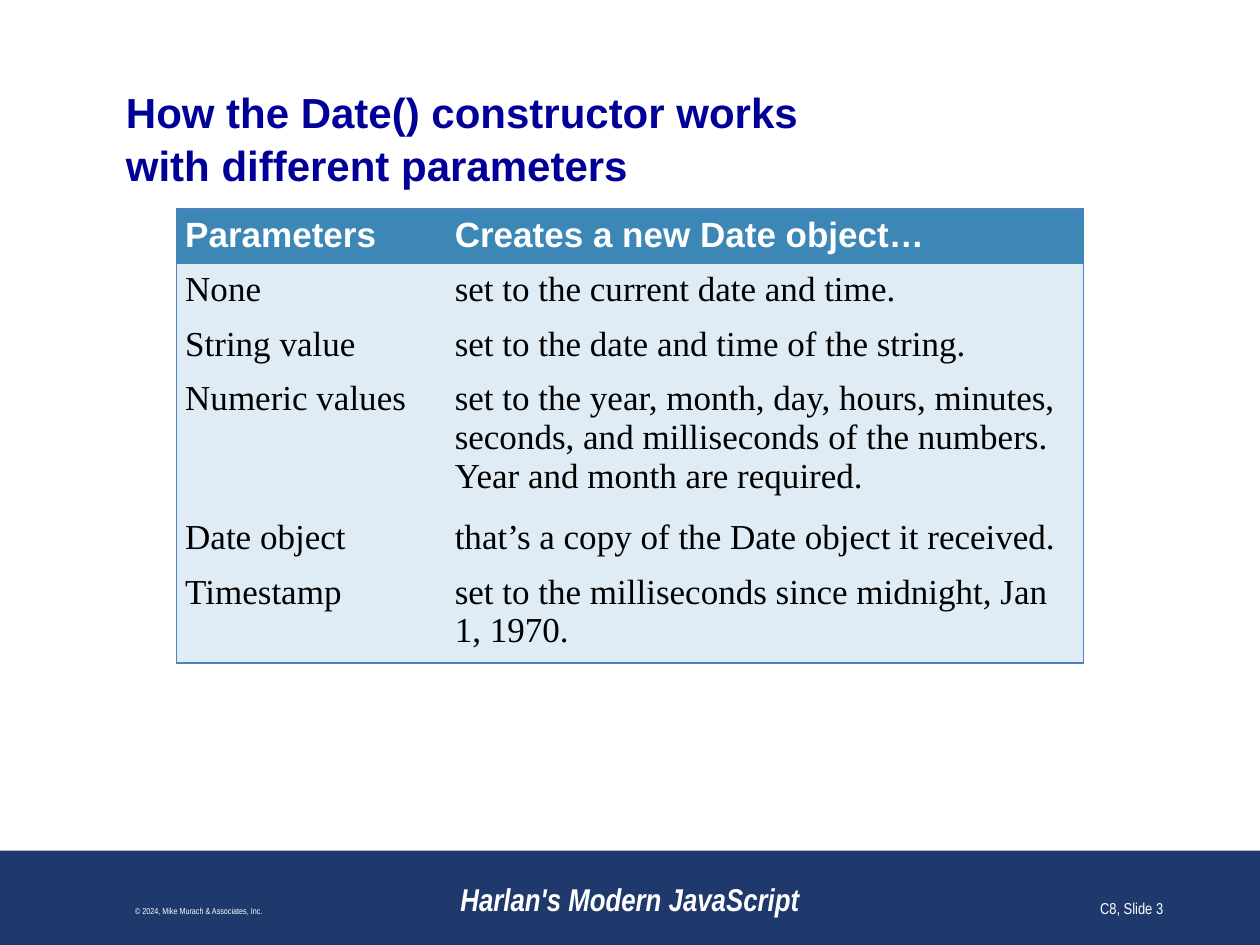
from dataclasses import dataclass

from lxml import etree
from pptx import Presentation
from pptx.dml.color import RGBColor
from pptx.enum.shapes import MSO_SHAPE
from pptx.enum.text import MSO_ANCHOR, PP_ALIGN
from pptx.oxml.ns import qn
from pptx.util import Inches, Pt

RECTANGLE = MSO_SHAPE.RECTANGLE
MIDDLE, BOTTOM = MSO_ANCHOR.MIDDLE, MSO_ANCHOR.BOTTOM
LEFT, CENTER, RIGHT = PP_ALIGN.LEFT, PP_ALIGN.CENTER, PP_ALIGN.RIGHT
PLAIN_TABLE_STYLE = "{2D5ABB26-0587-4C30-8999-92F81FD0307C}"


@dataclass(frozen=True)
class Theme:
    navy: str = "20396D"
    title_blue: str = "000099"
    header_fill: str = "3D87B7"
    body_fill: str = "DFECF5"
    border: str = "4F81BD"
    white: str = "FFFFFF"
    black: str = "000000"
    heading_font: str = "Arial"
    body_font: str = "Times New Roman"
    footer_font: str = "Arial Narrow"
    title_size: int = 24
    table_size: int = 20
    book_size: int = 18
    page_size: int = 9
    copyright_size: int = 5


THEME = Theme()

TITLE_LINES = ["How the Date() constructor works", "with different parameters"]
COLUMN_WIDTHS = [2.14, 5.06]
# Row height in inches, then the text of each cell
ROWS = [
    (0.42, "Parameters", "Creates a new Date object…"),
    (0.41, "None", "set to the current date and time."),
    (0.41, "String value", "set to the date and time of the string."),
    (1.02, "Numeric values",
     "set to the year, month, day, hours, minutes, seconds, and milliseconds "
     "of the numbers. Year and month are required."),
    (0.41, "Date object", "that’s a copy of the Date object it received."),
    (0.71, "Timestamp", "set to the milliseconds since midnight, Jan 1, 1970."),
]


def format_font(font, color, **values):
    for name, value in values.items():
        setattr(font, name, value)
    font.color.rgb = RGBColor.from_string(color)


def add_text(slide, box, text, anchor, alignment, margins, color, **font_values):
    text_box = slide.shapes.add_textbox(*map(Inches, box))
    frame = text_box.text_frame
    frame.word_wrap = True
    frame.vertical_anchor = anchor
    for side, margin in zip(("left", "top", "right", "bottom"), margins):
        setattr(frame, f"margin_{side}", Inches(margin))
    paragraph = frame.paragraphs[0]
    paragraph.text = text
    paragraph.alignment = alignment
    for run in paragraph.runs:
        format_font(run.font, color, **font_values)
    return paragraph


def add_title(slide, box):
    paragraph = add_text(
        slide, box, "\v".join(TITLE_LINES), MIDDLE, LEFT, (0, 0, 0, 0),
        THEME.title_blue, name=THEME.heading_font,
        size=Pt(THEME.title_size), bold=True)
    paragraph.line_spacing = 1.06


def add_border(cell, side):
    properties = cell._tc.get_or_add_tcPr()
    line = etree.SubElement(properties, qn(f"a:ln{side}"), w=str(Pt(1)))
    fill = etree.SubElement(line, qn("a:solidFill"))
    etree.SubElement(fill, qn("a:srgbClr"), val=THEME.border)


def add_parameter_table(slide, box):
    frame = slide.shapes.add_table(
        len(ROWS), len(COLUMN_WIDTHS), *map(Inches, box))
    for style in frame.element.iter(qn("a:tableStyleId")):
        style.text = PLAIN_TABLE_STYLE
    table = frame.table
    table.horz_banding = False
    for column, width in zip(table.columns, COLUMN_WIDTHS):
        column.width = Inches(width)

    last_row, last_column = len(ROWS) - 1, len(COLUMN_WIDTHS) - 1
    for row_index, (height, *texts) in enumerate(ROWS):
        table.rows[row_index].height = Inches(height)
        header = row_index == 0
        for column_index, text in enumerate(texts):
            cell = table.cell(row_index, column_index)
            cell.margin_left = cell.margin_right = Inches(0.07)
            cell.margin_top = cell.margin_bottom = Inches(0.05)

            # Only the outer edges of the table are ruled
            edges = {"L": column_index == 0, "R": column_index == last_column,
                     "T": header, "B": row_index == last_row}
            for side, is_outer in edges.items():
                if is_outer:
                    add_border(cell, side)

            cell.fill.solid()
            cell.fill.fore_color.rgb = RGBColor.from_string(
                THEME.header_fill if header else THEME.body_fill)
            cell.text = text
            format_font(
                cell.text_frame.paragraphs[0].runs[0].font,
                THEME.white if header else THEME.black,
                name=THEME.heading_font if header else THEME.body_font,
                size=Pt(THEME.table_size), bold=header)


def add_footer(slide, box):
    left, top, width, height = box
    band = slide.shapes.add_shape(RECTANGLE, *map(Inches, box))
    band.shadow.inherit = False
    band.fill.solid()
    band.fill.fore_color.rgb = RGBColor.from_string(THEME.navy)
    band.line.fill.background()

    # Offset from the band, width, text, alignment, size, bold italic
    labels = [
        (0.08, 0.07, 3, "© 2024, Mike Murach & Associates, Inc.", CENTER,
         THEME.copyright_size, False),
        (3, 0.08, 4, "Harlan's Modern JavaScript", CENTER,
         THEME.book_size, True),
        (7.25, 0.08, 2.08, "C8, Slide 3", RIGHT, THEME.page_size, False),
    ]
    for x, y, label_width, text, alignment, size, strong in labels:
        add_text(slide, (left + x, top + y, label_width, 0.5), text, BOTTOM,
                 alignment, (0.1, 0.05, 0.1, 0.05), THEME.white,
                 name=THEME.footer_font, size=Pt(size),
                 bold=strong, italic=strong)


def main():
    presentation = Presentation()
    presentation.slide_width = Inches(10)
    presentation.slide_height = Inches(7.5)
    slide = presentation.slides.add_slide(presentation.slide_layouts[6])

    add_footer(slide, (0, 6.75, 10, 0.75))
    add_title(slide, (1, 0.68, 8, 0.81))
    add_parameter_table(slide, (1.4, 1.66, 7.2, 3.38))

    presentation.save("out.pptx")


if __name__ == "__main__":
    main()
